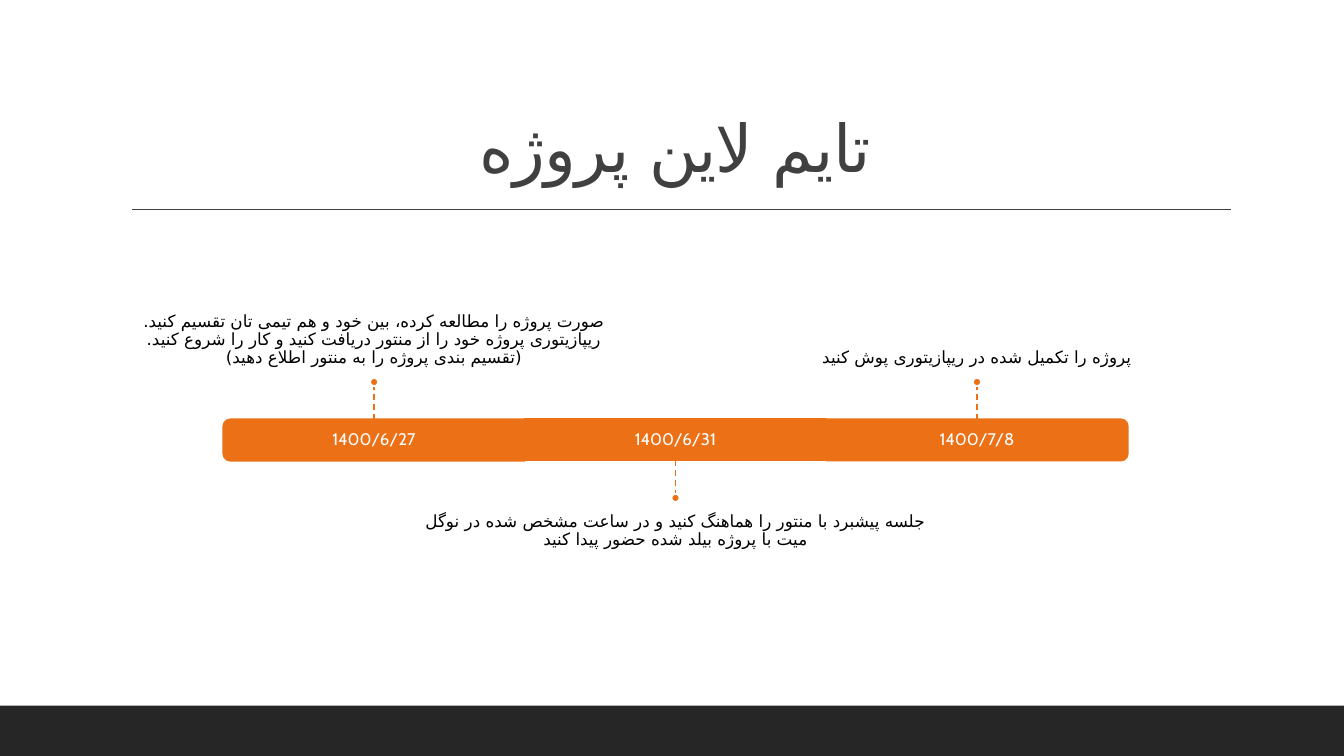
from dataclasses import dataclass

from lxml.etree import SubElement
from pptx import Presentation
from pptx.dml.color import RGBColor
from pptx.enum.dml import MSO_LINE
from pptx.enum.shapes import MSO_CONNECTOR, MSO_SHAPE
from pptx.enum.text import MSO_ANCHOR as Anchor, PP_ALIGN
from pptx.oxml.ns import qn
from pptx.util import Inches, Pt

WHITE = RGBColor(0xFF, 0xFF, 0xFF)
BLACK = RGBColor(0x00, 0x00, 0x00)
ORANGE = RGBColor(0xEC, 0x70, 0x16)
GRAY = RGBColor(0x40, 0x40, 0x40)
CHARCOAL = RGBColor(0x26, 0x26, 0x26)
PERSIAN_FONT = "DejaVu Sans"

# Timeline geometry, in inches
FIRST_CENTER, BAR_TOP = 3.71, 4.16
STEP_WIDTH, BAR_HEIGHT = 2.99, 0.41
NOTE_WIDTH, NOTE_HEIGHT = 5.0, 1.45
STEM, DOT, NOTE_GAP = 0.33, 0.08, 0.42


@dataclass(frozen=True)
class Milestone:
    date: str
    note: str
    shape_type: MSO_SHAPE
    rotation: int = 0
    above: bool = True


@dataclass(frozen=True)
class TextStyle:
    font: str
    size: float
    color: RGBColor
    anchor: Anchor
    insets: tuple[float, float, float, float]
    rtl: bool = True
    spacing: int = 0


MILESTONES = [
    Milestone(
        "1400/6/27",
        "صورت پروژه را مطالعه کرده، بین خود و هم تیمی تان تقسیم کنید. "
        "ریپازیتوری پروژه خود را از منتور دریافت کنید و کار را شروع کنید."
        "(تقسیم بندی پروژه را به منتور اطلاع دهید)",
        MSO_SHAPE.ROUND_2_SAME_RECTANGLE, 270),
    Milestone(
        "1400/6/31",
        "جلسه پیشبرد با منتور را هماهنگ کنید و در ساعت مشخص شده در نوگل "
        "میت با پروژه بیلد شده حضور پیدا کنید",
        MSO_SHAPE.RECTANGLE, above=False),
    Milestone(
        "1400/7/8",
        "پروژه را تکمیل شده در ریپازیتوری پوش کنید",
        MSO_SHAPE.ROUND_2_SAME_RECTANGLE, 90),
]

TITLE = TextStyle("Roboto Slab", 47, GRAY, Anchor.BOTTOM,
                  (0.1, 0.05, 0.1, 0.05), spacing=-50)
DATE = TextStyle("Cabin", 12, WHITE, Anchor.MIDDLE, (0.1,) * 4, rtl=False)
NOTE_ABOVE = TextStyle("Cabin", 12, BLACK, Anchor.BOTTOM, (0, 0, 0, 0.1))
NOTE_BELOW = TextStyle("Cabin", 12, BLACK, Anchor.TOP, (0, 0.1, 0, 0))


def add_text(slide, text: str, left: float, top: float, width: float,
             height: float, style: TextStyle) -> None:
    box = slide.shapes.add_textbox(*map(Inches, (left, top, width, height)))
    frame = box.text_frame
    inset_left, inset_top, inset_right, inset_bottom = map(Inches, style.insets)
    frame_format = {
        "word_wrap": True, "vertical_anchor": style.anchor,
        "margin_left": inset_left, "margin_top": inset_top,
        "margin_right": inset_right, "margin_bottom": inset_bottom,
    }
    for name, value in frame_format.items():
        setattr(frame, name, value)
    paragraph = frame.paragraphs[0]
    paragraph.alignment = PP_ALIGN.CENTER
    paragraph.line_spacing = 0.9
    run = paragraph.add_run()
    run.text = text
    for name, value in {"name": style.font, "size": Pt(style.size)}.items():
        setattr(run.font, name, value)
    run.font.color.rgb = style.color
    # Right-to-left direction, complex-script font and letter spacing
    properties = run.font._element
    if style.spacing:
        properties.set("spc", str(style.spacing))
    if style.rtl:
        SubElement(properties, qn("a:cs"), typeface=PERSIAN_FONT)
        paragraph._p.get_or_add_pPr().set("rtl", "1")


def add_block(slide, shape_type: MSO_SHAPE, left: float, top: float,
              width: float, height: float, fill: RGBColor,
              outline: RGBColor | None = None, rotation: int = 0) -> None:
    shape = slide.shapes.add_shape(
        shape_type, *map(Inches, (left, top, width, height)))
    shape.shadow.inherit = False
    shape.rotation = rotation
    shape.fill.solid()
    shape.fill.fore_color.rgb = fill
    if outline is None:
        shape.line.fill.background()
    else:
        shape.line.color.rgb = outline
        shape.line.width = Pt(1.25)


def add_line(slide, start: tuple[float, float], end: tuple[float, float],
             color: RGBColor, dash: MSO_LINE | None = None) -> None:
    line = slide.shapes.add_connector(
        MSO_CONNECTOR.STRAIGHT, *map(Inches, (*start, *end)))
    line.line.color.rgb = color
    line.line.width = Pt(1)
    line.line.dash_style = dash
    SubElement(line._element.spPr, qn("a:effectLst"))


def add_milestone(slide, milestone: Milestone, index: int) -> None:
    center = FIRST_CENTER + index * STEP_WIDTH

    # Bar segment: end pieces are upright shapes turned on their side
    width, height = STEP_WIDTH, BAR_HEIGHT
    if milestone.rotation:
        width, height = height, width
    add_block(slide, milestone.shape_type, center - width / 2,
              BAR_TOP + (BAR_HEIGHT - height) / 2, width, height,
              ORANGE, ORANGE, milestone.rotation)
    add_text(slide, milestone.date, center - STEP_WIDTH / 2, BAR_TOP,
             STEP_WIDTH, BAR_HEIGHT, DATE)

    # Note, dashed stem and dot on one side of the bar
    if milestone.above:
        edge, direction, style = BAR_TOP, -1, NOTE_ABOVE
        note_top = edge - NOTE_GAP - NOTE_HEIGHT
        dot_top = edge - STEM - DOT
    else:
        edge, direction, style = BAR_TOP + BAR_HEIGHT, 1, NOTE_BELOW
        note_top = edge + NOTE_GAP
        dot_top = edge + STEM
    add_text(slide, milestone.note, center - NOTE_WIDTH / 2, note_top,
             NOTE_WIDTH, NOTE_HEIGHT, style)
    add_line(slide, (center, edge), (center, edge + direction * STEM),
             ORANGE, MSO_LINE.DASH)
    add_block(slide, MSO_SHAPE.OVAL, center - DOT / 2, dot_top, DOT, DOT,
              ORANGE, WHITE)


def main() -> None:
    presentation = Presentation()
    presentation.slide_width = Inches(13.33)
    presentation.slide_height = Inches(7.5)
    slide = presentation.slides.add_slide(presentation.slide_layouts[6])

    # Footer band, title rule and title
    add_block(slide, MSO_SHAPE.RECTANGLE, 0, 7, 13.33, 0.5, CHARCOAL)
    add_line(slide, (1.31, 2.08), (12.21, 2.08), GRAY)
    add_text(slide, "تایم لاین پروژه", 1.2, 0.31, 11, 1.59, TITLE)

    # Timeline
    for index, milestone in enumerate(MILESTONES):
        add_milestone(slide, milestone, index)

    presentation.save("out.pptx")


if __name__ == "__main__":
    main()
